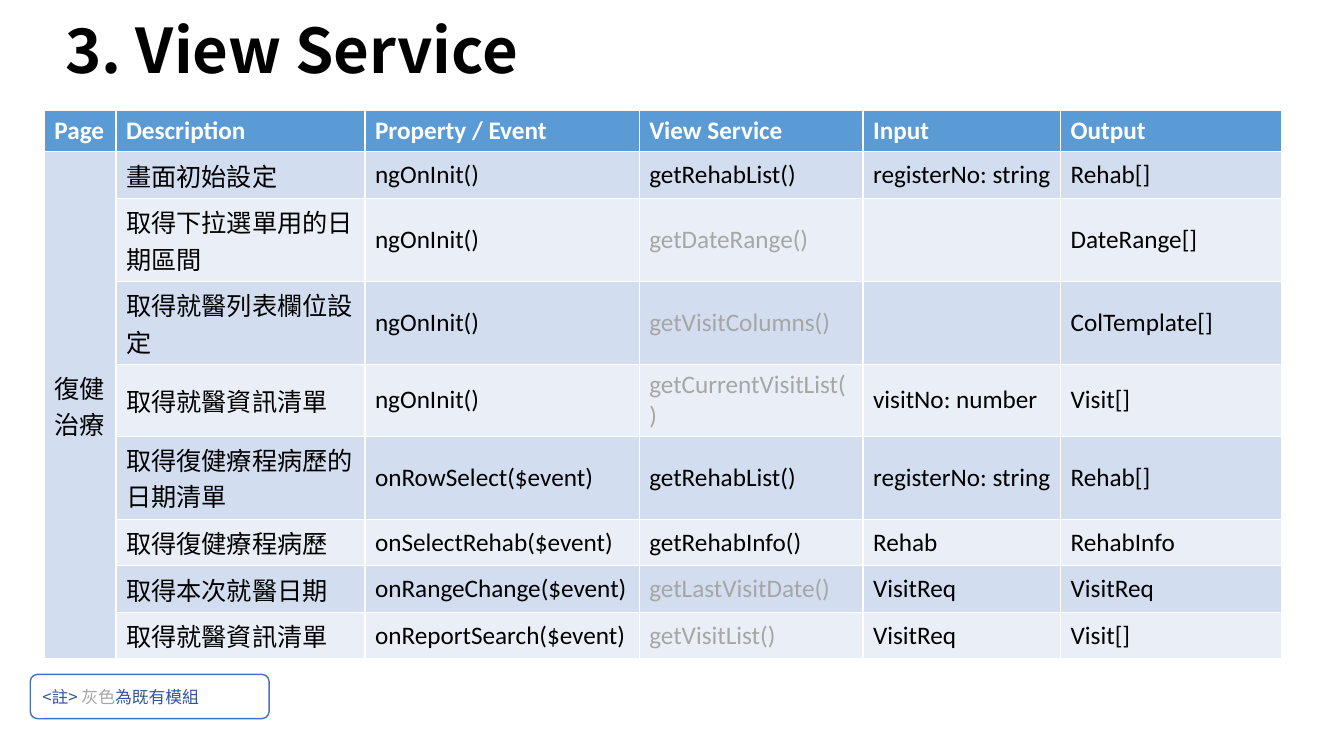
from dataclasses import dataclass

from lxml.etree import SubElement
from pptx import Presentation
from pptx.dml.color import RGBColor
from pptx.enum.shapes import MSO_SHAPE
from pptx.enum.text import MSO_ANCHOR, PP_ALIGN
from pptx.oxml.ns import qn
from pptx.slide import Slide
from pptx.table import _Cell as Cell
from pptx.text.text import Font
from pptx.util import Inches, Pt

LATIN_FONT = "Calibri"
CJK_FONT = "Noto Sans CJK SC"
BLACK, WHITE, GRAY = "000000", "FFFFFF", "A6A6A6"
HEADER_BLUE = "5B9BD5"
BANDS = ("D2DEEF", "EAEFF7")
NOTE_LINE, NOTE_TEXT = "4472C4", "2F5597"

HEADERS = ("Page", "Description", "Property / Event", "View Service", "Input", "Output")
COLUMN_WIDTHS = (0.71, 2.47, 2.72, 2.22, 1.96, 2.19)
ROW_HEIGHT = 0.4
PAGE_NAME = "復健治療"


@dataclass(frozen=True)
class ServiceCall:
    description: str
    event: str
    service: str
    input: str
    output: str
    existing: bool = False


CALLS = (
    ServiceCall("畫面初始設定", "ngOnInit()", "getRehabList()", "registerNo: string", "Rehab[]"),
    ServiceCall("取得下拉選單用的日期區間", "ngOnInit()", "getDateRange()", "", "DateRange[]", True),
    ServiceCall("取得就醫列表欄位設定", "ngOnInit()", "getVisitColumns()", "", "ColTemplate[]", True),
    ServiceCall("取得就醫資訊清單", "ngOnInit()", "getCurrentVisitList()", "visitNo: number", "Visit[]", True),
    ServiceCall("取得復健療程病歷的日期清單", "onRowSelect($event)", "getRehabList()", "registerNo: string", "Rehab[]"),
    ServiceCall("取得復健療程病歷", "onSelectRehab($event)", "getRehabInfo()", "Rehab", "RehabInfo"),
    ServiceCall("取得本次就醫日期", "onRangeChange($event)", "getLastVisitDate()", "VisitReq", "VisitReq", True),
    ServiceCall("取得就醫資訊清單", "onReportSearch($event)", "getVisitList()", "VisitReq", "Visit[]", True),
)


def rgb(color: str) -> RGBColor:
    return RGBColor.from_string(color)


def set_font(font: Font, size: float, color: str, latin: str, bold: bool = False) -> None:
    """Format Latin text with the given font and Chinese text with the CJK font."""
    font.size = Pt(size)
    font.bold = bold
    font.color.rgb = rgb(color)
    font.name = latin
    SubElement(font._rPr, qn("a:ea")).set("typeface", CJK_FONT)


def fill_cell(cell: Cell, text: str, fill: str, color: str = BLACK, bold: bool = False) -> None:
    cell.fill.solid()
    cell.fill.fore_color.rgb = rgb(fill)
    cell.vertical_anchor = MSO_ANCHOR.MIDDLE
    cell.text = text
    set_font(cell.text_frame.paragraphs[0].font, 18, color, LATIN_FONT, bold)


def add_title(slide: Slide, text: str) -> None:
    title = slide.shapes.title
    title.left, title.top = Inches(0.55), Inches(0.14)
    title.width, title.height = Inches(12.17), Inches(0.78)
    title.text_frame.text = text
    title.text_frame.vertical_anchor = MSO_ANCHOR.MIDDLE
    paragraph = title.text_frame.paragraphs[0]
    paragraph.alignment = PP_ALIGN.LEFT
    paragraph.line_spacing = 0.9
    set_font(paragraph.font, 44, BLACK, CJK_FONT, bold=True)


def add_service_table(slide: Slide) -> None:
    row_count = len(CALLS) + 1
    table = slide.shapes.add_table(
        row_count, len(HEADERS), Inches(0.44), Inches(1.1),
        Inches(sum(COLUMN_WIDTHS)), Inches(ROW_HEIGHT * row_count),
    ).table
    for column, width in zip(table.columns, COLUMN_WIDTHS):
        column.width = Inches(width)
    for cell, header in zip(table.rows[0].cells, HEADERS):
        fill_cell(cell, header, HEADER_BLUE, WHITE, bold=True)

    table.cell(1, 0).merge(table.cell(len(CALLS), 0))
    fill_cell(table.cell(1, 0), PAGE_NAME, BANDS[0])
    for index, call in enumerate(CALLS):
        texts = (call.description, call.event, call.service, call.input, call.output)
        for column, text in enumerate(texts, start=1):
            color = GRAY if call.existing and text == call.service else BLACK
            fill_cell(table.cell(index + 1, column), text, BANDS[index % 2], color)


def add_note(slide: Slide) -> None:
    note = slide.shapes.add_shape(
        MSO_SHAPE.ROUNDED_RECTANGLE, Inches(0.3), Inches(6.69), Inches(2.37), Inches(0.44)
    )
    note.shadow.inherit = False
    note.fill.solid()
    note.fill.fore_color.rgb = rgb(WHITE)
    note.line.color.rgb = rgb(NOTE_LINE)
    note.line.width = Pt(1)
    note.text_frame.vertical_anchor = MSO_ANCHOR.MIDDLE
    paragraph = note.text_frame.paragraphs[0]
    paragraph.alignment = PP_ALIGN.LEFT
    for text, color in (("<註> ", NOTE_TEXT), ("灰色", GRAY), ("為既有模組", NOTE_TEXT)):
        run = paragraph.add_run()
        run.text = text
        set_font(run.font, 12, color, CJK_FONT)


def main() -> None:
    presentation = Presentation()
    presentation.slide_width, presentation.slide_height = Inches(13.33), Inches(7.5)
    slide = presentation.slides.add_slide(presentation.slide_layouts.get_by_name("Title Only"))
    add_title(slide, "3. View Service")
    add_service_table(slide)
    add_note(slide)
    presentation.save("out.pptx")


if __name__ == "__main__":
    main()
